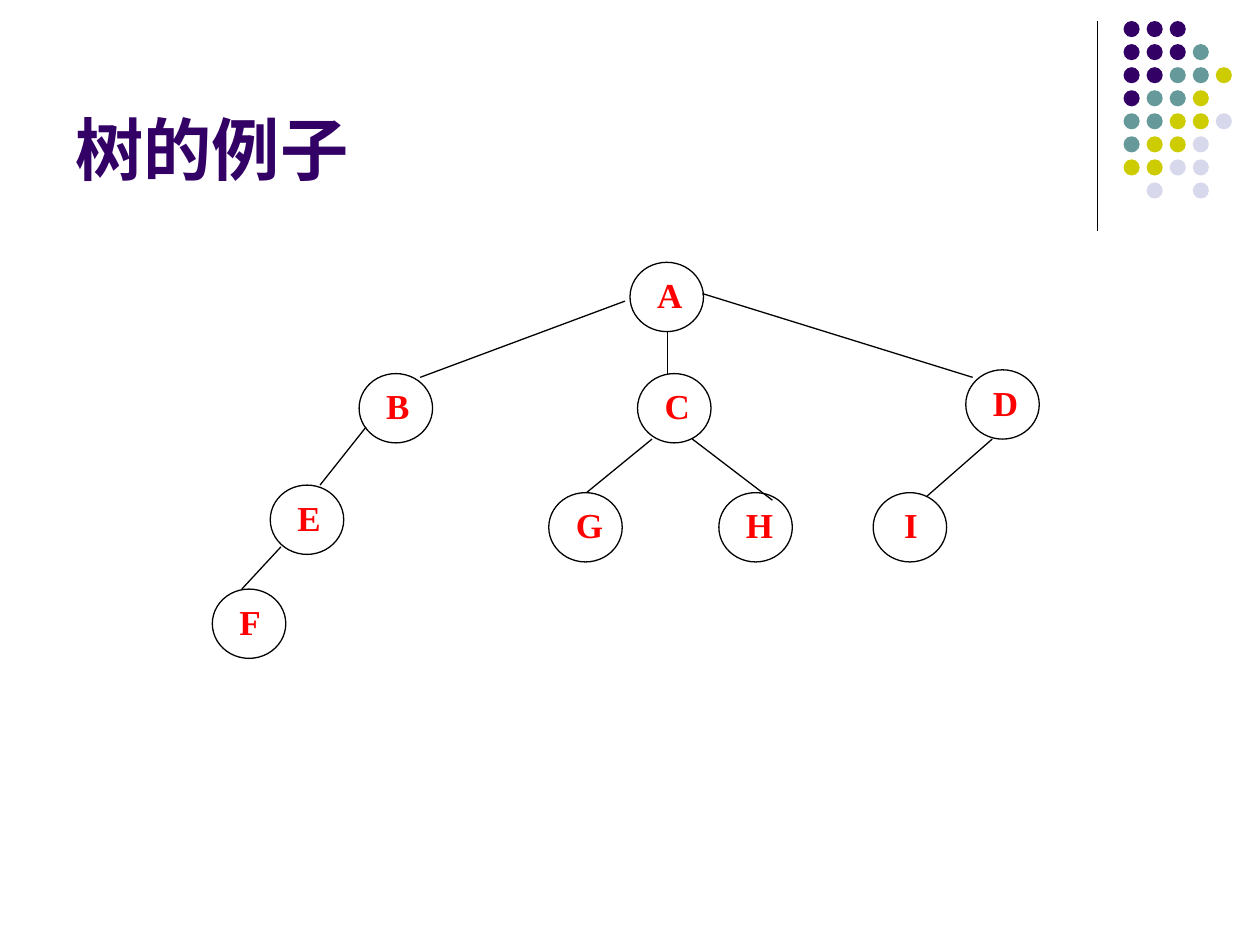
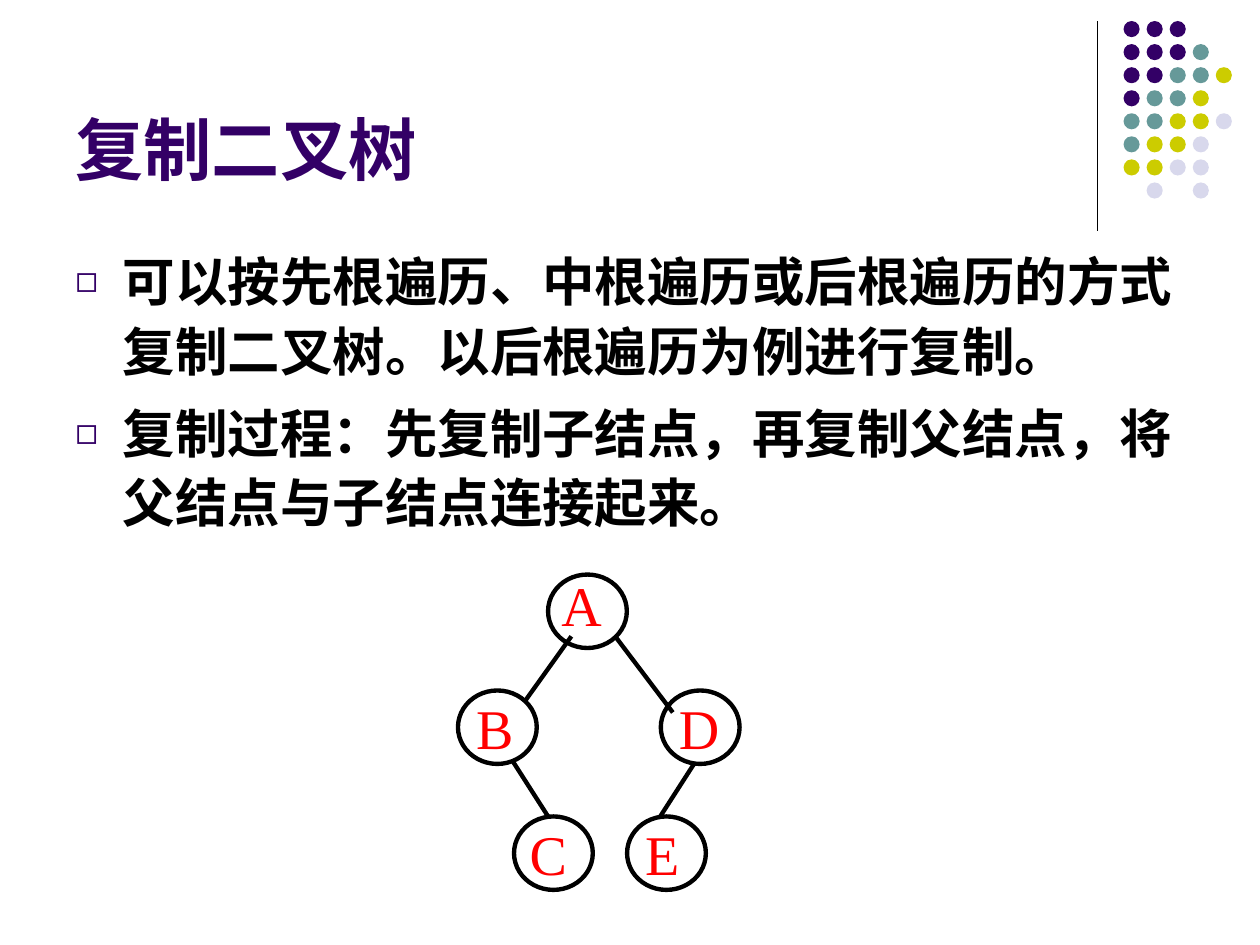
from lxml import etree
from pptx import Presentation
from pptx.dml.color import RGBColor
from pptx.enum.lang import MSO_LANGUAGE_ID
from pptx.enum.shapes import MSO_CONNECTOR, MSO_SHAPE
from pptx.enum.text import MSO_ANCHOR
from pptx.oxml.ns import qn
from pptx.util import Inches, Pt

OVAL = MSO_SHAPE.OVAL
STRAIGHT = MSO_CONNECTOR.STRAIGHT
TOP, BOTTOM = MSO_ANCHOR.TOP, MSO_ANCHOR.BOTTOM
CHINESE = MSO_LANGUAGE_ID.SIMPLIFIED_CHINESE
colour = RGBColor.from_string

BLACK, RED, PURPLE = "000000", "FF0000", "330066"
DOT_COLOURS = {"P": PURPLE, "T": "669999", "Y": "CCCC00", "L": "D8D8EC"}
DOT_ROWS = ["PPP", "PPPT", "PPTTY", "PTTY", "TTYYL", "TYYL", "YYLL", " L L"]
DOT_LEFT, DOT_TOP, DOT_STEP, DOT_SIZE = 89.17, 1.67, 1.83, 1.28

deck = Presentation()
deck.slide_width, deck.slide_height = Inches(10), Inches(7.5)

# All lengths below count the cells of a 100 by 75 grid
COLUMN, ROW = deck.slide_width // 100, deck.slide_height // 75


def add_text(page, area, paragraphs, font_name, size, hex_colour, bold,
             inset=(1, 0.5), anchor=TOP, spacing=1.0):
    left, top, width, height = area
    box = page.shapes.add_textbox(round(left * COLUMN), round(top * ROW),
                                  round(width * COLUMN), round(height * ROW))
    frame = box.text_frame
    frame.word_wrap = True
    frame.vertical_anchor = anchor
    frame.margin_left = frame.margin_right = round(inset[0] * COLUMN)
    frame.margin_top = frame.margin_bottom = round(inset[1] * ROW)
    frame.text = "\n".join(paragraphs)
    for para in frame.paragraphs:
        para.line_spacing = spacing
        font = para.font
        font.name, font.size, font.bold = font_name, Pt(size), bold
        font.color.rgb = colour(hex_colour)
        font.language_id = CHINESE
    return frame


def add_line(page, ends, weight):
    x1, y1, x2, y2 = ends
    line = page.shapes.add_connector(STRAIGHT, round(x1 * COLUMN), round(y1 * ROW),
                                     round(x2 * COLUMN), round(y2 * ROW))
    line.line.color.rgb = colour(BLACK)
    line.line.width = Pt(weight)
    etree.SubElement(line._element.spPr, qn("a:effectLst"))


# Each tree: nodes as (name, left, top), edges as (x1, y1, x2, y2)
example_tree = {
    "title": "树的例子",
    "bullets": [],
    "node_size": (5.83, 5.5),
    "weight": 0.75,
    "nodes": [("A", 50, 20.82), ("B", 28.5, 29.65), ("C", 50.6, 29.65),
              ("D", 76.65, 29.35), ("E", 21.45, 38.5), ("F", 16.85, 46.75),
              ("G", 43.55, 39.1), ("H", 57.05, 39.1), ("I", 69.3, 39.1)],
    "edges": [(49.6, 23.9, 33.35, 29.95), (53, 26.3, 53, 29.7),
              (55.75, 23.3, 77.2, 29.95), (29.05, 33.9, 25.4, 38.5),
              (54.95, 34.85, 61.3, 39.7), (51.75, 34.85, 46.55, 39.1),
              (78.75, 34.85, 73.55, 39.4), (22.3, 43.4, 19.2, 46.75)],
    "label_shift": {"I": (2.45, 0.9)},
    "usual_shift": (2.15, 0.9),
    "label_size": (2.5, 3.7),
    "label_style": {"size": 20, "bold": True, "inset": (0, 0)},
    "label_spacing": {},
    "usual_spacing": 1.0,
}
binary_tree = {
    "title": "复制二叉树",
    "bullets": ["可以按先根遍历、中根遍历或后根遍历的方式复制二叉树。以后根遍历为例进行复制。",
                "复制过程：先复制子结点，再复制父结点，将父结点与子结点连接起来。"],
    "node_size": (6.25, 5.83),
    "weight": 2.5,
    "nodes": [("A", 43.5, 45.6), ("B", 36.35, 54.8), ("C", 40.8, 64.8),
              ("D", 52.45, 54.8), ("E", 49.77, 64.8)],
    "edges": [(45.35, 50.5, 41.7, 55.6), (55.1, 60.6, 52.4, 64.8),
              (48.9, 50.6, 53.4, 56.55), (40.75, 60.5, 43.5, 64.8)],
    "label_shift": {"A": (0.08, -0.8), "C": (0.25, -0.8)},
    "usual_shift": (0.45, -0.8),
    "label_size": (6.3, 6.9),
    "label_style": {"size": 32, "bold": False},
    "label_spacing": {"A": 1.0},
    "usual_spacing": 1.1,
}

for tree in (example_tree, binary_tree):
    page = deck.slides.add_slide(deck.slide_layouts[6])

    # Corner rule and dots
    add_line(page, (87.1, 1.7, 87.1, 18.3), 0.75)
    for row, letters in enumerate(DOT_ROWS):
        for column, letter in enumerate(letters):
            if letter in DOT_COLOURS:
                dot = page.shapes.add_shape(
                    OVAL, round((DOT_LEFT + column * DOT_STEP) * COLUMN),
                    round((DOT_TOP + row * DOT_STEP) * ROW),
                    round(DOT_SIZE * COLUMN), round(DOT_SIZE * ROW))
                dot.shadow.inherit = False
                dot.fill.solid()
                dot.fill.fore_color.rgb = colour(DOT_COLOURS[letter])
                dot.line.fill.background()

    # Title
    add_text(page, (5, 1.3, 82.5, 14.2), [tree["title"]], "Arial", 39, PURPLE, True,
             anchor=BOTTOM)

    # Bulleted text
    if tree["bullets"]:
        body = add_text(page, (5, 18.8, 90, 48.2), tree["bullets"], "Arial", 30, BLACK,
                        True, spacing=1.1)
        for number, para in enumerate(body.paragraphs):
            if number:
                para.space_before = Pt(7.5)
            properties = para._p.get_or_add_pPr()
            properties.set("marL", str(Inches(0.375)))
            properties.set("indent", str(-Inches(0.375)))
            defaults = properties.find(qn("a:defRPr"))
            bullet_colour = etree.Element(qn("a:buClr"))
            etree.SubElement(bullet_colour, qn("a:srgbClr"), val=PURPLE)
            defaults.addprevious(bullet_colour)
            for tag, name, value in (("a:buSzPct", "val", "70000"),
                                     ("a:buFont", "typeface", "Arial"),
                                     ("a:buChar", "char", "◻")):
                bullet_part = etree.Element(qn(tag))
                bullet_part.set(name, value)
                defaults.addprevious(bullet_part)

    # Tree nodes with their labels
    width, height = tree["node_size"]
    for name, left, top in tree["nodes"]:
        node = page.shapes.add_shape(OVAL, round(left * COLUMN), round(top * ROW),
                                     round(width * COLUMN), round(height * ROW))
        node.shadow.inherit = False
        node.fill.background()
        node.line.color.rgb = colour(BLACK)
        node.line.width = Pt(tree["weight"])
        right, down = tree["label_shift"].get(name, tree["usual_shift"])
        add_text(page, (left + right, top + down, *tree["label_size"]), [name],
                 "Times New Roman", hex_colour=RED, **tree["label_style"],
                 spacing=tree["label_spacing"].get(name, tree["usual_spacing"]))

    # Tree edges
    for ends in tree["edges"]:
        add_line(page, ends, tree["weight"])

deck.save("out.pptx")
